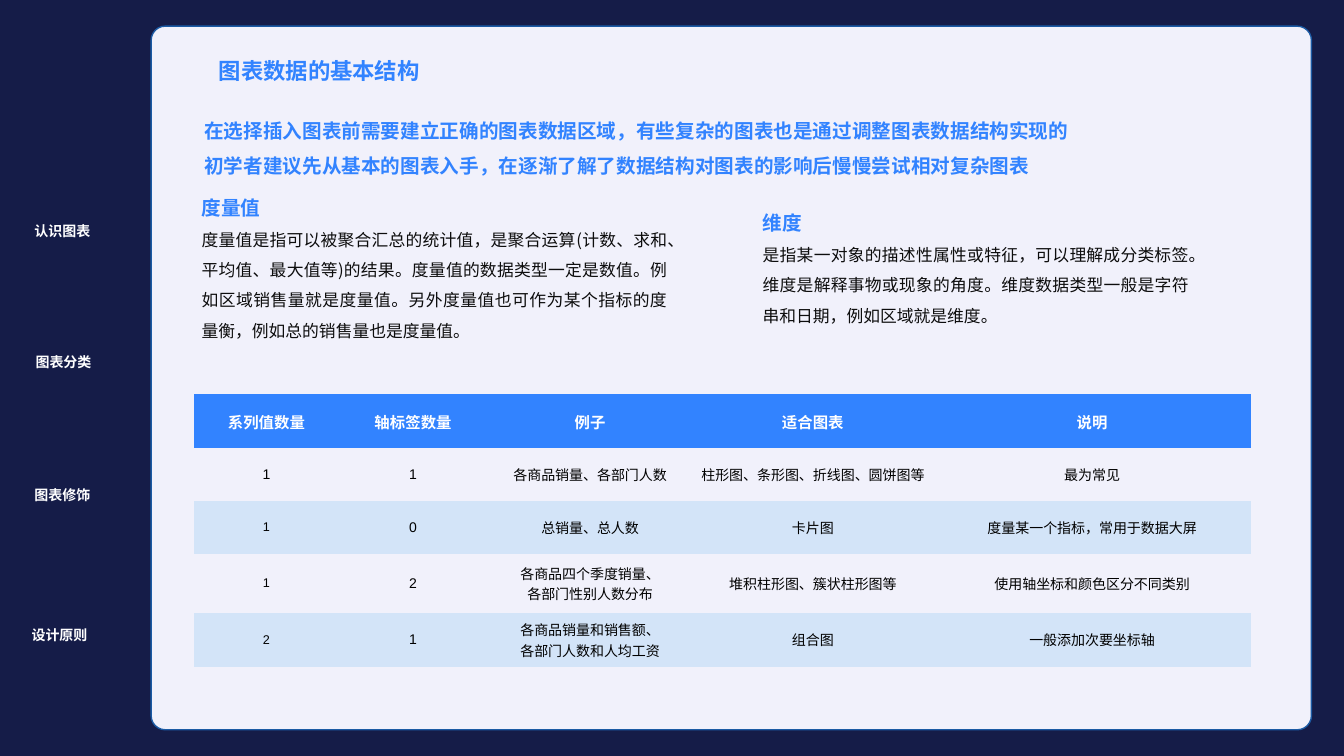
from copy import deepcopy
from lxml import etree
from pptx import Presentation
from pptx.dml.color import RGBColor
from pptx.enum import shapes, text
from pptx.oxml import ns
from pptx.util import Cm, Pt

NAVY = RGBColor(0x15, 0x1C, 0x48)
PALE = RGBColor(0xF1, 0xF1, 0xFB)
EDGE = RGBColor(0x1B, 0x5A, 0xA4)
BLUE = RGBColor(0x32, 0x83, 0xFF)
BAND = RGBColor(0xD3, 0xE4, 0xF8)
WHITE = RGBColor(0xFF, 0xFF, 0xFF)
BLACK = RGBColor(0x00, 0x00, 0x00)
INK = RGBColor(0x0D, 0x0D, 0x0D)
NOTO = "Noto Sans CJK SC"
ALIGN = text.PP_ALIGN
MIDDLE = text.MSO_ANCHOR.MIDDLE


def write(par, words, size=14, color=BLUE, bold=True, font=NOTO, align=ALIGN.LEFT, space=1.5):
    par.text = words
    par.alignment = align
    par.line_spacing = space
    for run in par.runs:
        run.font.size = Pt(size)
        run.font.bold = bold
        run.font.name = font
        run.font.color.rgb = color
        props = run.font._element
        etree.SubElement(props, ns.qn("a:ea"), typeface=NOTO)
    for gap in par._p.findall(ns.qn("a:br")):
        gap.insert(0, deepcopy(props))


def add_box(left, top, width, height):
    frame = slide.shapes.add_textbox(Cm(left), Cm(top), Cm(width), Cm(height)).text_frame
    frame.word_wrap = True
    return frame


deck = Presentation()
deck.slide_width, deck.slide_height = Cm(33.87), Cm(19.05)
slide = deck.slides.add_slide(deck.slide_layouts[5])
slide.background.fill.solid()
slide.background.fill.fore_color.rgb = NAVY

panel = slide.shapes.add_shape(shapes.MSO_SHAPE.ROUNDED_RECTANGLE, Cm(3.81), Cm(0.66), Cm(29.24), Cm(17.73))
panel.adjustments[0] = 0.02
panel.shadow.inherit = False
panel.fill.solid()
panel.fill.fore_color.rgb = PALE
panel.line.color.rgb = EDGE
panel.line.width = Pt(1)

title = slide.shapes.title
title.left, title.top, title.width, title.height = Cm(5.26), Cm(0.99), Cm(24.46), Cm(1.22)
title.text_frame.vertical_anchor = MIDDLE
write(title.text_frame.paragraphs[0], "图表数据的基本结构", size=16, font="Arial")
slide.shapes._spTree.append(title._element)

menu = [("认识图表", 0.58, 5.49), ("图表分类", 0.61, 8.79), ("图表修饰", 0.58, 12.14), ("设计原则", 0.51, 15.65)]
for label, left, top in menu:
    frame = add_box(left, top, 1.98, 0.69)
    write(frame.paragraphs[0], label, size=10, color=WHITE, align=ALIGN.CENTER, space=1)

intro = add_box(4.9, 2.57, 24.77, 1.96)
write(intro.paragraphs[0], "在选择插入图表前需要建立正确的图表数据区域，有些复杂的图表也是通过调整图表数据结构实现的")
write(intro.add_paragraph(), "初学者建议先从基本的图表入手，在逐渐了解了数据结构对图表的影响后慢慢尝试相对复杂图表")

terms = [
    ("度量值", "度量值是指可以被聚合汇总的统计值，是聚合运算(计数、求和、平均值、最大值等)的结果。度量值的数据类型一定是数值。例如区域销售量就是度量值。另外度量值也可作为某个指标的度量衡，例如总的销售量也是度量值。", 4.83, 4.52, 12.24, 4.14),
    ("维度", "是指某一对象的描述性属性或特征，可以理解成分类标签。维度是解释事物或现象的角度。维度数据类型一般是字符串和日期，例如区域就是维度。", 18.97, 4.9, 11.25, 3.38),
]
for head, body, *place in terms:
    frame = add_box(*place)
    write(frame.paragraphs[0], head, align=ALIGN.JUSTIFY)
    write(frame.add_paragraph(), body, size=12, color=INK, bold=False, align=ALIGN.JUSTIFY)

rows = [
    ("系列值数量", "轴标签数量", "例子", "适合图表", "说明"),
    ("1", "1", "各商品销量、各部门人数", "柱形图、条形图、折线图、圆饼图等", "最为常见"),
    ("1", "0", "总销量、总人数", "卡片图", "度量某一个指标，常用于数据大屏"),
    ("1", "2", "各商品四个季度销量、\n各部门性别人数分布", "堆积柱形图、簇状柱形图等", "使用轴坐标和颜色区分不同类别"),
    ("2", "1", "各商品销量和销售额、\n各部门人数和人均工资", "组合图", "一般添加次要坐标轴"),
]
widths = [3.63, 3.76, 5.16, 6.07, 8]
heights = [1.37, 1.32, 1.35, 1.47, 1.37]
grid = slide.shapes.add_table(5, 5, Cm(4.9), Cm(9.93), Cm(sum(widths)), Cm(sum(heights))).table
grid._tbl.tblPr.find(ns.qn("a:tableStyleId")).text = "{2D5ABB26-0587-4C30-8999-92F81FD0307C}"
grid.horz_banding = False
for col, width in zip(grid.columns, widths):
    col.width = Cm(width)
for r, row in enumerate(rows):
    grid.rows[r].height = Cm(heights[r])
    for c, words in enumerate(row):
        cell = grid.cell(r, c)
        cell.vertical_anchor = MIDDLE
        cell.margin_left = cell.margin_right = Cm(0.18)
        cell.margin_top = cell.margin_bottom = 0
        if r % 2 and r:
            cell.fill.background()
        else:
            cell.fill.solid()
            cell.fill.fore_color.rgb = BAND if r else BLUE
        size = 11 if r == 0 else 9 if c == 0 and r > 1 else 10
        write(cell.text_frame.paragraphs[0], words, size=size, color=BLACK if r else WHITE,
              bold=r == 0, font="Arial", align=ALIGN.CENTER, space=1)

deck.save("out.pptx")
